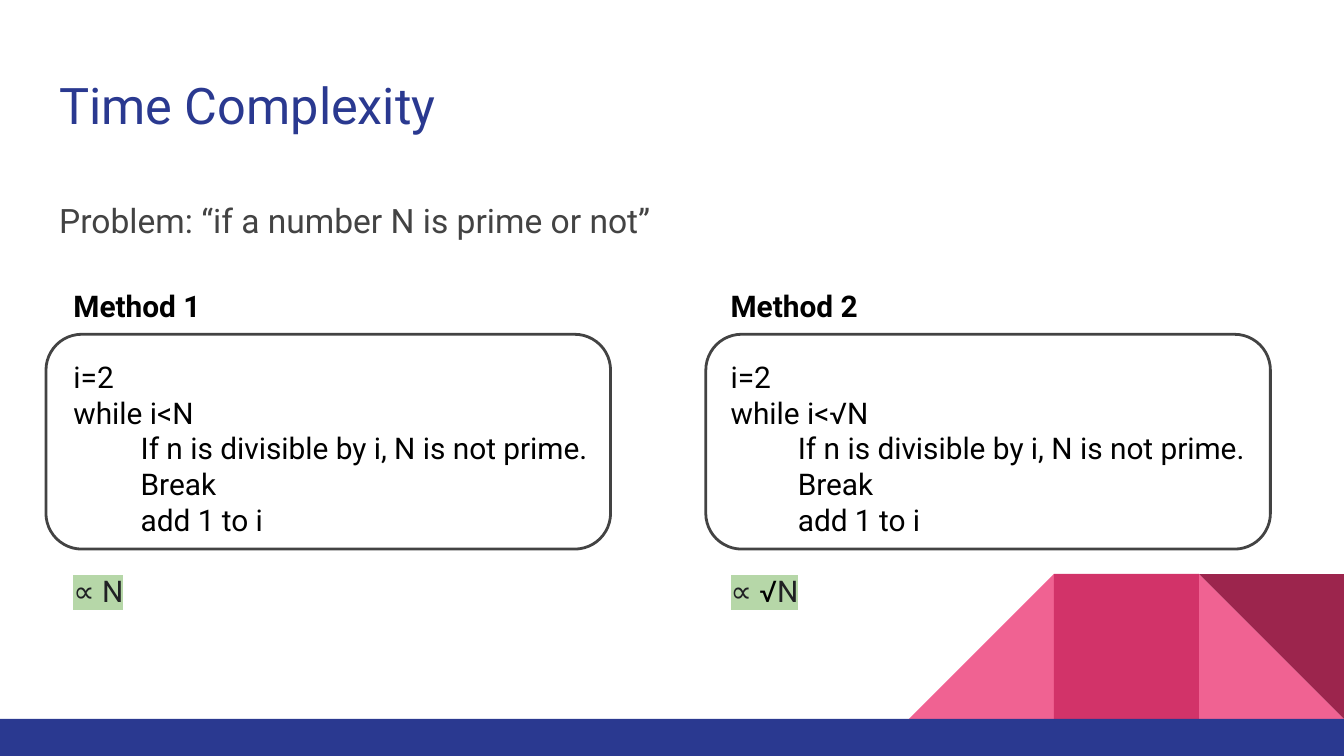
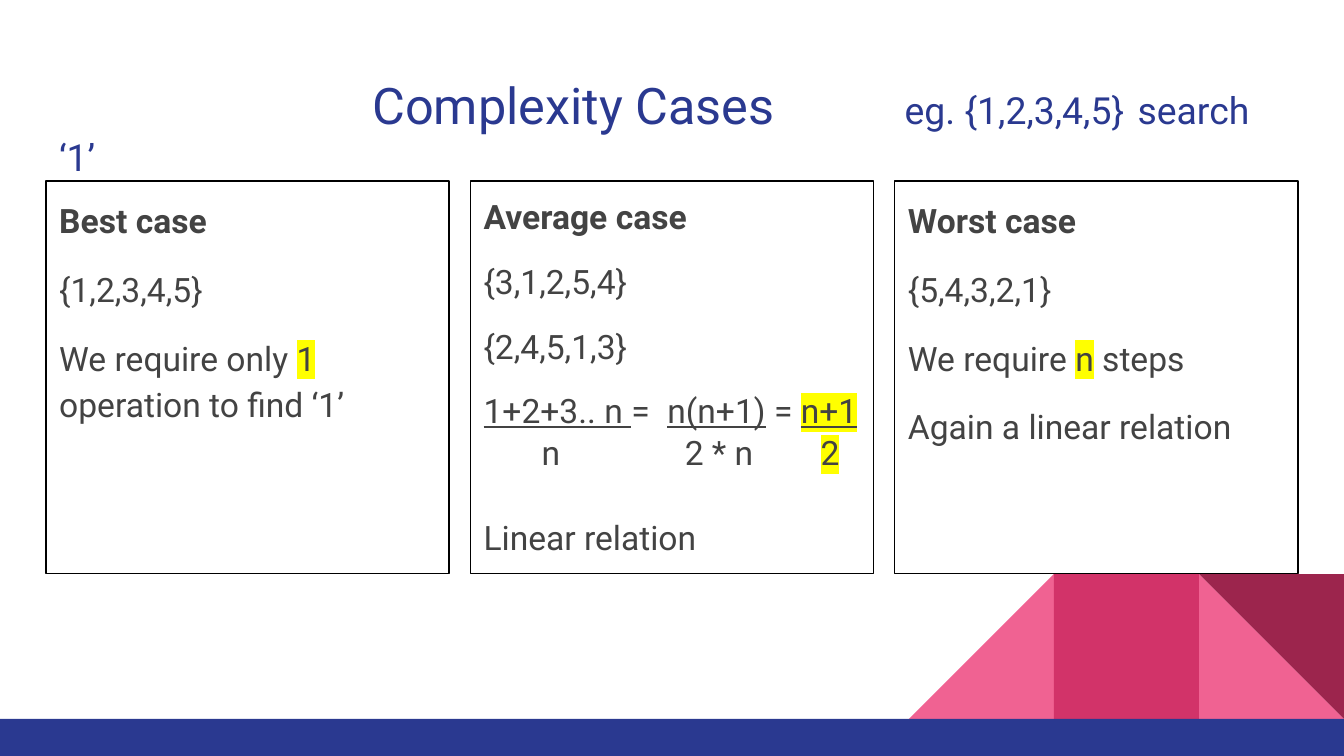
"""Build two slides on the time complexity of algorithms."""
from lxml import etree
from pptx import Presentation
from pptx.dml.color import RGBColor
from pptx.enum import shapes, text
from pptx.oxml import ns
from pptx.util import Cm, Pt

NAVY, GREY, BLACK, INK = "2A3990", "434343", "000000", "202124"
PINK, ROSE, WINE = "F06292", "D23369", "9C254D"
GREEN, YELLOW = "B6D7A8", "FFFF00"
WIDE, HIGH = 25.4, 14.29
LEFT, TOP, FULL = 0.87, 3.42, 23.67
SIDE, BASE = 2.74, 13.59


def rgb(code):
    """Turn a hex string into a colour."""
    return RGBColor.from_string(code)


def write(slide, box, paras, size, color, lead=None, align=text.PP_ALIGN.LEFT):
    """Add a text box; each paragraph is a list of runs and a dict of options."""
    shape = slide.shapes.add_textbox(*[Cm(v) for v in box])
    frame = shape.text_frame
    frame.word_wrap = True
    frame.vertical_anchor = text.MSO_ANCHOR.TOP
    frame.margin_left = frame.margin_right = Cm(0.25)
    frame.margin_top = frame.margin_bottom = Cm(0.25)
    for n, (runs, opts) in enumerate(paras):
        para = frame.add_paragraph() if n else frame.paragraphs[0]
        para.alignment = align
        props = para._p.get_or_add_pPr()
        props.set("marL", "0")
        props.set("indent", str(Cm(opts.get("first", 0))))
        if lead:
            para.line_spacing = lead
        para.space_before = Pt(opts.get("before", 0))
        para.space_after = Pt(opts.get("after", 0))
        font = para.font
        font.name, font.size, font.bold = "Roboto", Pt(size), opts.get("bold", False)
        font.color.rgb = rgb(color)
        for item in runs:
            words, look = (item, {}) if isinstance(item, str) else item
            run = para.add_run()
            run.text = words
            if "under" in look:
                run.font.underline = True
            if "size" in look:
                run.font.size = Pt(look["size"])
            if "space" in look:
                run._r.get_or_add_rPr().set("spc", str(look["space"] * 100))
            if "color" in look:
                run.font.color.rgb = rgb(look["color"])
            if "mark" in look:
                mark = etree.SubElement(run._r.get_or_add_rPr(), ns.qn("a:highlight"))
                etree.SubElement(mark, ns.qn("a:srgbClr"), val=look["mark"])
    return shape


deck = Presentation()
deck.slide_width, deck.slide_height = Cm(WIDE), Cm(HIGH)

KIND = shapes.MSO_SHAPE
decor = [
    (KIND.RIGHT_TRIANGLE, 1, 0, PINK),
    (KIND.RIGHT_TRIANGLE, 3, 270, PINK),
    (KIND.RECTANGLE, 2, 0, ROSE),
    (KIND.RIGHT_TRIANGLE, 1, 180, WINE),
]
small = {"size": 20}
titles = [
    (["Time Complexity"], {}),
    (["Complexity Cases", (" ", {"space": 63}), ("eg. {1,2,3,4,5}", small),
      (" ", {"size": 20, "space": 2}), ("search ‘1’", small)], {"first": 5.92}),
]
pages = []
for title in titles:
    page = deck.slides.add_slide(deck.slide_layouts[6])
    parts = [(kind, WIDE - SIDE * col, BASE - SIDE, SIDE, SIDE, turn, fill)
             for kind, col, turn, fill in decor]
    parts.append((KIND.RECTANGLE, 0, BASE, WIDE, HIGH - BASE, 0, NAVY))
    for kind, x, y, w, h, turn, fill in parts:
        part = page.shapes.add_shape(kind, Cm(x), Cm(y), Cm(w), Cm(h))
        part.shadow.inherit = False
        part.rotation = turn
        part.fill.solid()
        part.fill.fore_color.rgb = rgb(fill)
        part.line.fill.background()
    write(page, (LEFT, 1.15, FULL, 1.68), [title], 27, NAVY)
    pages.append(page)

first, second = pages
write(first, (LEFT, TOP, FULL, 1.68),
      [(["Problem: “if a number N is prime or not”"], {"after": 12})], 18, GREY, 1.15)

dark = {"color": INK, "mark": GREEN}
methods = [
    ("Method 1", 1.14, LEFT, "N", [("∝ N", dark)]),
    ("Method 2", 13.56, 13.34, "√N",
     [("∝ ", dark), ("√", {"color": BLACK, "mark": GREEN}), ("N", dark)]),
]
for name, x, edge, bound, cost in methods:
    lines = [([name], {"bold": True}), (["i=2"], {"before": 19}), (["while i<" + bound], {})]
    for step in ("If n is divisible by i, N is not prime.", "Break", "add 1 to i"):
        lines.append(([step], {"first": 1.27}))
    lines.append((cost, {"before": 19}))
    write(first, (x, 5.18, 10.97, 6.68), lines, 16, BLACK)
    frame = first.shapes.add_shape(KIND.ROUNDED_RECTANGLE, Cm(edge), Cm(6.32), Cm(10.67), Cm(4.06))
    frame.shadow.inherit = False
    frame.fill.background()
    frame.line.color.rgb = rgb(GREY)
    frame.line.width = Pt(1.5)

gap, under, mark = {"before": 12}, {"under": True}, {"mark": YELLOW}
cases = [
    ("Best case", 1.15, [
        (["{1,2,3,4,5}"], gap),
        (["We require only ", ("1", mark), " operation to find ‘1’"], gap),
    ]),
    ("Average case", 1.05, [
        (["{3,1,2,5,4}"], gap),
        (["{2,4,5,1,3}"], gap),
        ([("1+2+3.. n ", under), "=", (" ", {"space": 5}), ("n(n+1)", under), " = ",
          ("n+1", under | mark)], gap),
        (["Linear relation"], {"before": 45}),
    ]),
    ("Worst case", 1.15, [
        (["{5,4,3,2,1}"], gap),
        (["We require ", ("n", mark), " steps"], gap),
        (["Again a linear relation"], gap),
    ]),
]
for n, (name, lead, lines) in enumerate(cases):
    box = (LEFT + 8.02 * n, TOP, 7.62, 7.42)
    card = write(second, box, [([name], {"bold": True})] + lines, 18, GREY, lead)
    card.line.color.rgb = rgb(BLACK)
    card.line.width = Pt(0.75)

for mid, term in ((10.41, "n"), (13.59, "2 * n"), (15.69, ("2", mark))):
    write(second, (mid - 1, 7.88, 2, 1.2), [([term], {})], 18, GREY, 1.05, text.PP_ALIGN.CENTER)

deck.save("out.pptx")
